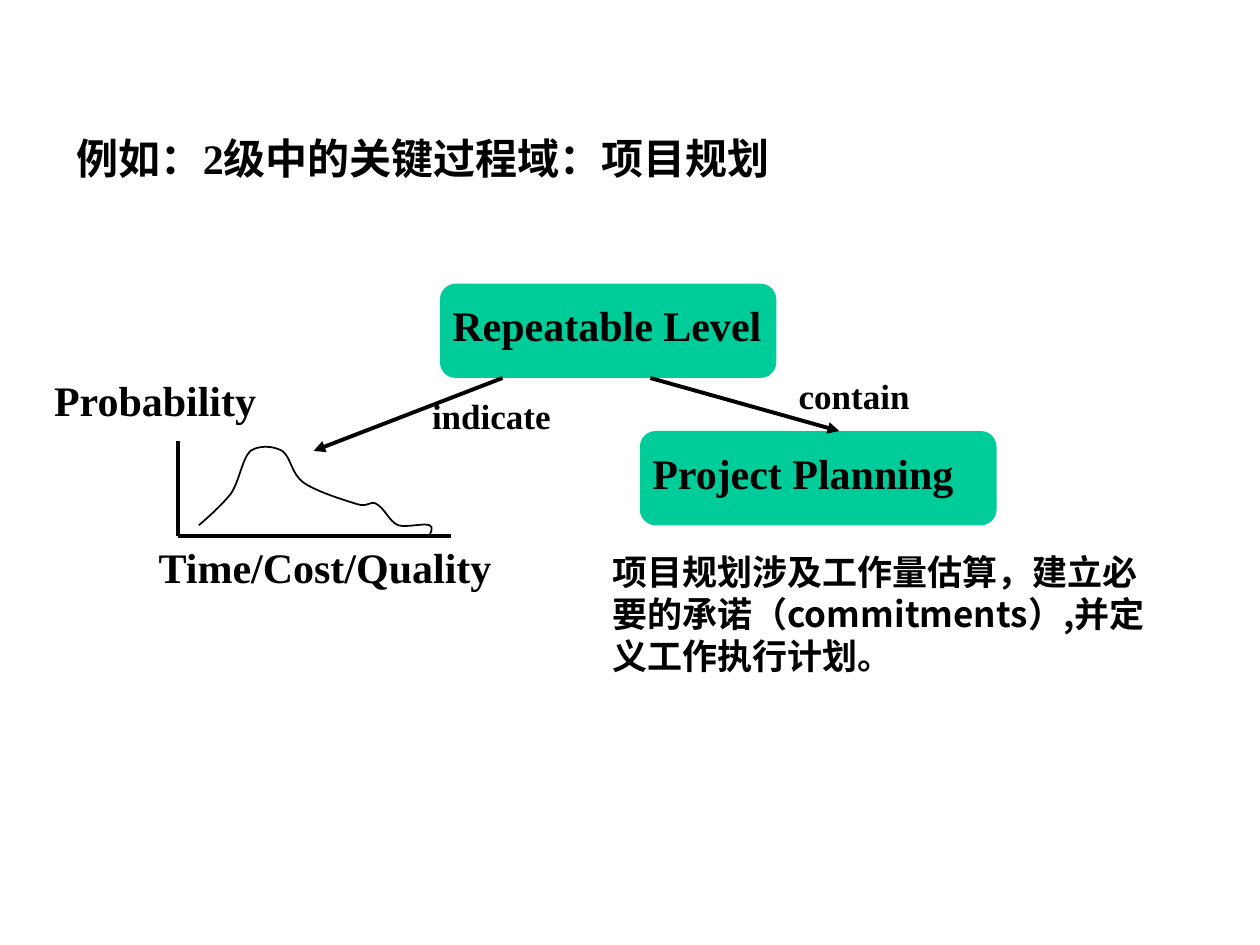
"""Build the slide on project planning, a key process area of level 2."""
from dataclasses import dataclass

from lxml.etree import SubElement
from pptx import Presentation
from pptx.dml.color import RGBColor
from pptx.enum.shapes import MSO_CONNECTOR, MSO_SHAPE
from pptx.enum.text import MSO_AUTO_SIZE
from pptx.oxml.ns import qn
from pptx.util import Cm, Pt


@dataclass(frozen=True)
class Theme:
    ink: RGBColor = RGBColor(0x00, 0x00, 0x00)
    box: RGBColor = RGBColor(0x00, 0xCC, 0x99)
    large: Pt = Pt(24)
    small: Pt = Pt(20)
    serif: str = "Times New Roman"
    chinese: str = "Noto Sans CJK SC"
    heavy: Pt = Pt(2.25)
    fine: Pt = Pt(1)


theme = Theme()
presentation = Presentation()
presentation.slide_width, presentation.slide_height = Cm(25.4), Cm(19.05)
slide = presentation.slides.add_slide(presentation.slide_layouts[6])


def add_text(text, left, top, width, height, size=theme.large, name=theme.serif):
    shape = slide.shapes.add_textbox(Cm(left), Cm(top), Cm(width), Cm(height))
    frame = shape.text_frame
    frame.word_wrap = True
    frame.auto_size = MSO_AUTO_SIZE.SHAPE_TO_FIT_TEXT
    run = frame.paragraphs[0].add_run()
    run.text = text
    for attribute, value in {"size": size, "name": name, "bold": True}.items():
        setattr(run.font, attribute, value)
    run.font.color.rgb = theme.ink
    SubElement(run.font._element, qn("a:ea"), typeface=theme.chinese)


def add_line(start, end, arrow=False):
    connector = slide.shapes.add_connector(
        MSO_CONNECTOR.STRAIGHT, *map(Cm, start), *map(Cm, end))
    connector.line.color.rgb = theme.ink
    connector.line.width = theme.heavy
    if arrow:
        SubElement(connector.line._get_or_add_ln(), qn("a:tailEnd"), type="triangle")
    SubElement(connector._element.spPr, qn("a:effectLst"))


boxes = [
    ("Repeatable Level", (8.87, 5.72, 6.78, 1.9), (8.87, 5.92, 6.78, 2.29)),
    ("Project Planning", (12.9, 8.69, 7.19, 1.9), (12.9, 8.89, 7.42, 1.27)),
]
for caption, box_place, caption_place in boxes:
    shape = slide.shapes.add_shape(
        MSO_SHAPE.FLOWCHART_ALTERNATE_PROCESS, *map(Cm, box_place))
    shape.shadow.inherit = False
    shape.fill.solid()
    shape.fill.fore_color.rgb = theme.box
    shape.line.fill.background()
    add_text(caption, *caption_place)

add_line((10.13, 7.62), (6.32, 9.09), arrow=True)
add_line((13.11, 7.62), (16.92, 8.69), arrow=True)
add_text("indicate", 8.46, 7.82, 2.97, 1.12, theme.small)
add_text("contain", 15.85, 7.42, 2.97, 1.12, theme.small)
add_text("项目规划涉及工作量估算，建立必要的承诺（commitments）,并定义工作执行计划。",
         12.09, 10.97, 11.46, 2.79, theme.small, theme.chinese)
add_text("例如：2级中的关键过程域：项目规划", 1.3, 2.54, 15.21, 1.27)

axis_origin = (3.58, 10.8)
add_line((3.58, 8.89), axis_origin)
add_line(axis_origin, (9.09, 10.8))

curve_start = (4.01, 10.59)
curve_points = [
    (4.24, 10.39), (4.47, 10.18), (4.65, 9.96),
    (4.83, 9.7), (4.88, 9.25), (5.05, 9.09),
    (5.23, 8.97), (5.51, 8.99), (5.69, 9.09),
    (5.87, 9.22), (5.87, 9.55), (6.12, 9.73),
    (6.38, 9.91), (6.93, 10.08), (7.19, 10.16),
    (7.42, 10.24), (7.47, 10.08), (7.59, 10.16),
    (7.75, 10.24), (7.85, 10.52), (8.03, 10.59),
    (8.2, 10.64), (8.56, 10.54), (8.66, 10.59),
    (8.76, 10.62), (8.66, 10.77), (8.66, 10.8),
]
builder = slide.shapes.build_freeform(*map(Cm, curve_start))
builder.add_line_segments([(Cm(x), Cm(y)) for x, y in curve_points], close=False)
curve = builder.convert_to_shape()
curve.shadow.inherit = False
curve.fill.background()
curve.line.color.rgb = theme.ink
curve.line.width = theme.fine
outline = next(curve._element.iter(qn("a:path")))
segments = outline.findall(qn("a:lnTo"))
for index in range(0, len(segments), 3):
    bezier = SubElement(outline, qn("a:cubicBezTo"))
    for segment in segments[index:index + 3]:
        bezier.append(segment[0])
        outline.remove(segment)

add_text("Probability", 0.84, 7.42, 4.88, 1.27)
add_text("Time/Cost/Quality", 2.95, 10.8, 7.62, 1.27)

presentation.save("out.pptx")
